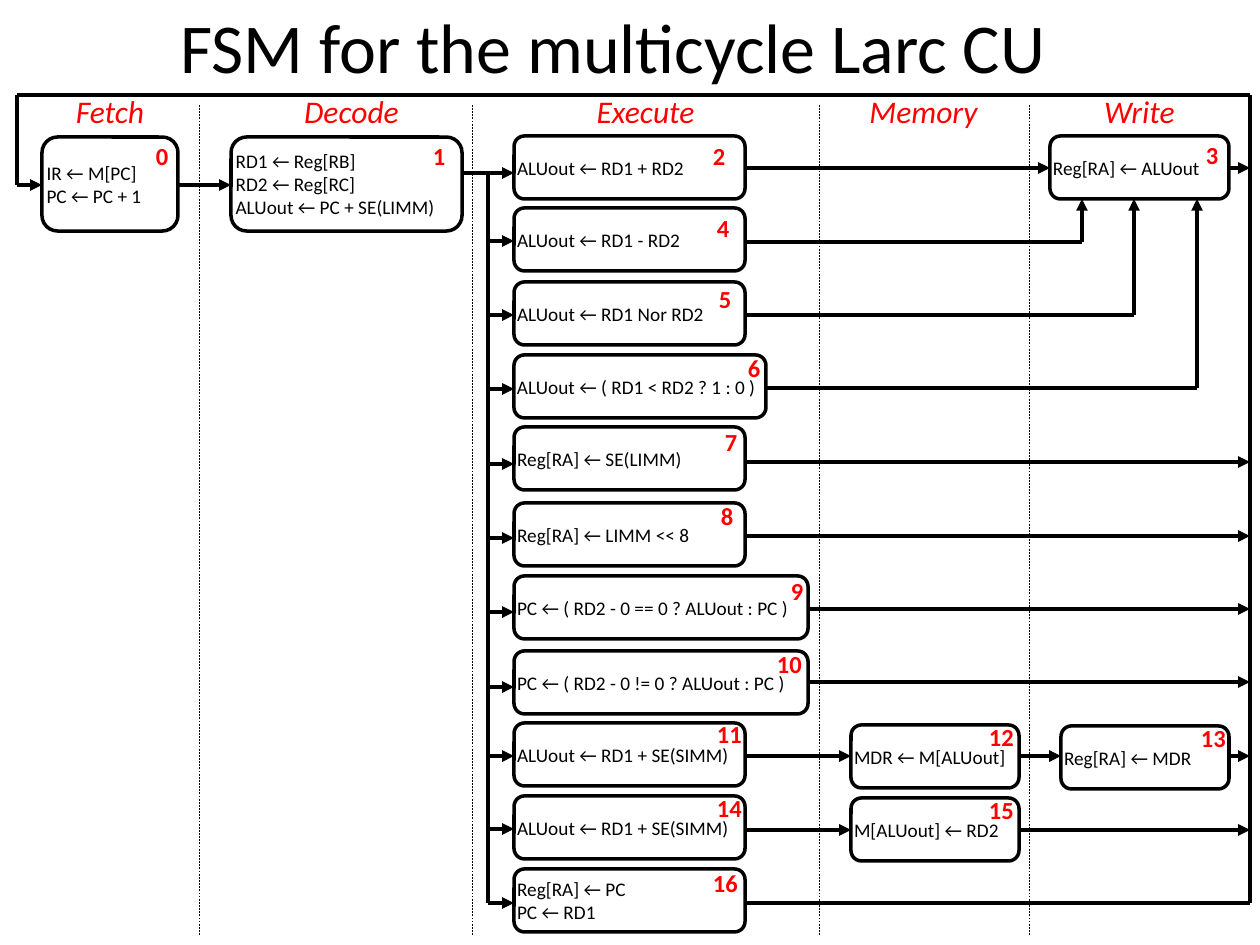
from dataclasses import dataclass

from lxml import etree
from pptx import Presentation
from pptx.dml.color import RGBColor
from pptx.enum.dml import MSO_LINE
from pptx.enum.shapes import MSO_CONNECTOR, MSO_SHAPE
from pptx.enum.text import MSO_ANCHOR, PP_ALIGN
from pptx.oxml.ns import qn
from pptx.util import Emu, Pt

PX = 914400 / 126


@dataclass(frozen=True)
class Theme:
    font: str = "Calibri"
    ink: RGBColor = RGBColor(0, 0, 0)
    accent: RGBColor = RGBColor(255, 0, 0)
    title: int = 40
    heading: int = 18
    number: int = 14
    body: int = 11
    border: float = 2
    wire: float = 2.25
    divider: float = 0.25


THEME = Theme()


def px(*values):
    return [Emu(round(v * PX)) for v in values]


def write(shape, lines, size, color, align=PP_ALIGN.LEFT, bold=None, italic=None,
          insets=(0, 0, 0, 0), wrap=False, anchor=MSO_ANCHOR.TOP):
    frame = shape.text_frame
    frame.word_wrap, frame.vertical_anchor = wrap, anchor
    (frame.margin_left, frame.margin_top,
     frame.margin_right, frame.margin_bottom) = px(*insets)
    for i, line in enumerate(lines):
        paragraph = frame.paragraphs[0] if i == 0 else frame.add_paragraph()
        paragraph.alignment = align
        run = paragraph.add_run()
        run.text = line
        font = run.font
        font.name, font.size, font.bold, font.italic = THEME.font, Pt(size), bold, italic
        font.color.rgb = color


def line(slide, x1, y1, x2, y2, arrow=False, width=THEME.wire, dashed=False):
    wire = slide.shapes.add_connector(MSO_CONNECTOR.STRAIGHT, *px(x1, y1, x2, y2))
    wire.line.color.rgb, wire.line.width = THEME.ink, Pt(width)
    if dashed:
        wire.line.dash_style = MSO_LINE.DASH
    if arrow:
        etree.SubElement(wire.line._get_or_add_ln(), qn("a:tailEnd"), type="triangle")
    etree.SubElement(wire._element.spPr, qn("a:effectLst"))


def title(slide, left, top, width, height):
    box = slide.shapes.add_textbox(*px(left, top, width, height))
    # The wider right inset sets the title left of centre
    write(box, ["FSM for the multicycle Larc CU"], THEME.title, THEME.ink,
          PP_ALIGN.CENTER, insets=(13, 6, 47, 6), wrap=True, anchor=MSO_ANCHOR.MIDDLE)


def state(slide, left, top, width, height, number, number_dx, number_dy, *actions):
    box = slide.shapes.add_shape(MSO_SHAPE.FLOWCHART_ALTERNATE_PROCESS,
                                 *px(left, top, width, height))
    box.shadow.inherit = False
    box.fill.background()
    box.line.color.rgb, box.line.width = THEME.ink, Pt(THEME.border)
    write(box, actions, THEME.body, THEME.ink, wrap=True, anchor=MSO_ANCHOR.MIDDLE)
    label = slide.shapes.add_textbox(
        *px(left + number_dx, top + number_dy, 13 * len(str(number)), 30))
    write(label, [str(number)], THEME.number, THEME.accent, bold=True)


def stage(slide, left, top, name, name_dx, name_width, states):
    heading = slide.shapes.add_textbox(*px(left + name_dx, top, name_width, 50))
    write(heading, [name], THEME.heading, THEME.accent, PP_ALIGN.CENTER,
          italic=True, insets=(13, 6, 13, 6))
    if left:
        line(slide, left, top + 19, left, top + 850, width=THEME.divider, dashed=True)
    for dx, dy, *rest in states:
        state(slide, left + dx, top + dy, *rest)


# Stages: left edge, name, heading offset and width, then states as
# (dx, dy, width, height, number, number dx, number dy, actions)
STAGES = [
    (0, "Fetch", 62, 96, [
        (42, 51, 136, 94, 0, 114, 4, "IR ← M[PC]", "PC ← PC + 1")]),
    (199, "Decode", 63, 179, [
        (32, 51, 231, 94, 1, 202, 4,
         "RD1 ← Reg[RB]", "RD2 ← Reg[RC]", "ALUout ← PC + SE(LIMM)")]),
    (472, "Execute", 11, 325, [
        (42, 50, 231, 63, 2, 199, 5, "ALUout ← RD1 + RD2"),
        (42, 122, 231, 63, 4, 203, 5, "ALUout ← RD1 - RD2"),
        (42, 196, 231, 63, 5, 205, 2, "ALUout ← RD1 Nor RD2"),
        (42, 269, 252, 63, 6, 234, -2, "ALUout ← ( RD1 < RD2 ? 1 : 0 )"),
        (42, 341, 231, 63, 7, 211, 0, "Reg[RA] ← SE(LIMM)"),
        (42, 417, 231, 63, 8, 207, -2, "Reg[RA] ← LIMM << 8"),
        (42, 490, 294, 63, 9, 277, 0, "PC ← ( RD2 - 0 == 0 ? ALUout : PC )"),
        (42, 565, 294, 63, 10, 263, -2, "PC ← ( RD2 - 0 != 0 ? ALUout : PC )"),
        (42, 637, 231, 63, 11, 203, -4, "ALUout ← RD1 + SE(SIMM)"),
        (42, 710, 231, 63, 14, 203, -3, "ALUout ← RD1 + SE(SIMM)"),
        (42, 783, 231, 63, 16, 199, -1, "Reg[RA] ← PC", "PC ← RD1")]),
    (819, "Memory", 10, 189, [
        (32, 639, 168, 63, 12, 138, -3, "MDR ← M[ALUout]"),
        (32, 712, 168, 63, 15, 138, -3, "M[ALUout] ← RD2")]),
    (1029, "Write", 21, 179, [
        (21, 50, 179, 63, 3, 156, 4, "Reg[RA] ← ALUout"),
        (32, 640, 168, 63, 13, 140, -3, "Reg[RA] ← MDR")]),
]


def wiring(slide, left, top):
    def wire(x1, y1, x2, y2, arrow=True):
        line(slide, left + x1, top + y1, left + x2, top + y2, arrow)

    entry, bus, execute, back = 17, 488, 514, 1250
    exits = [82 + round(73.5 * row) for row in range(11)]

    # Fetch to decode, then the bus that fans out to every execute state
    wire(178, 99, 231, 99)
    wire(462, 87, execute, 87)
    for y in (155, 229, 303, 378, 452, 526, 601, 670, 743, 817):
        wire(bus, y, execute, y)
    wire(bus, 86, bus, exits[-1], False)

    # Execute exits: (start, end, arrow)
    ends = ([(745, 1050, True), (745, 1082, False), (745, 1134, False), (766, 1197, False)]
            + [(745, back, True)] * 2 + [(808, back, True)] * 2
            + [(745, 851, True)] * 2 + [(745, back, False)])
    for y, (start, end, arrow) in zip(exits, ends):
        wire(start, y, end, y, arrow)
    for y, (_, x, _) in zip(exits[1:4], ends[1:4]):
        wire(x, y, x, 113)

    # Memory and write exits
    for x1, x2, row in ((1229, back, 0), (1019, 1061, 8), (1229, back, 8), (1019, back, 9)):
        wire(x1, exits[row], x2, exits[row])

    # Return loop to fetch
    wire(back, 9, back, exits[-1], False)
    wire(entry, 9, back, 9, False)
    wire(entry, 99, entry, 9, False)
    wire(entry, 99, 42, 99)


def main():
    deck = Presentation()
    deck.slide_width, deck.slide_height = px(1260, 945)
    slide = deck.slides.add_slide(deck.slide_layouts[6])
    title(slide, 63, 0, 1134, 91)
    for left, *details in STAGES:
        stage(slide, left, 86, *details)
    wiring(slide, 0, 86)
    deck.save("out.pptx")


main()
